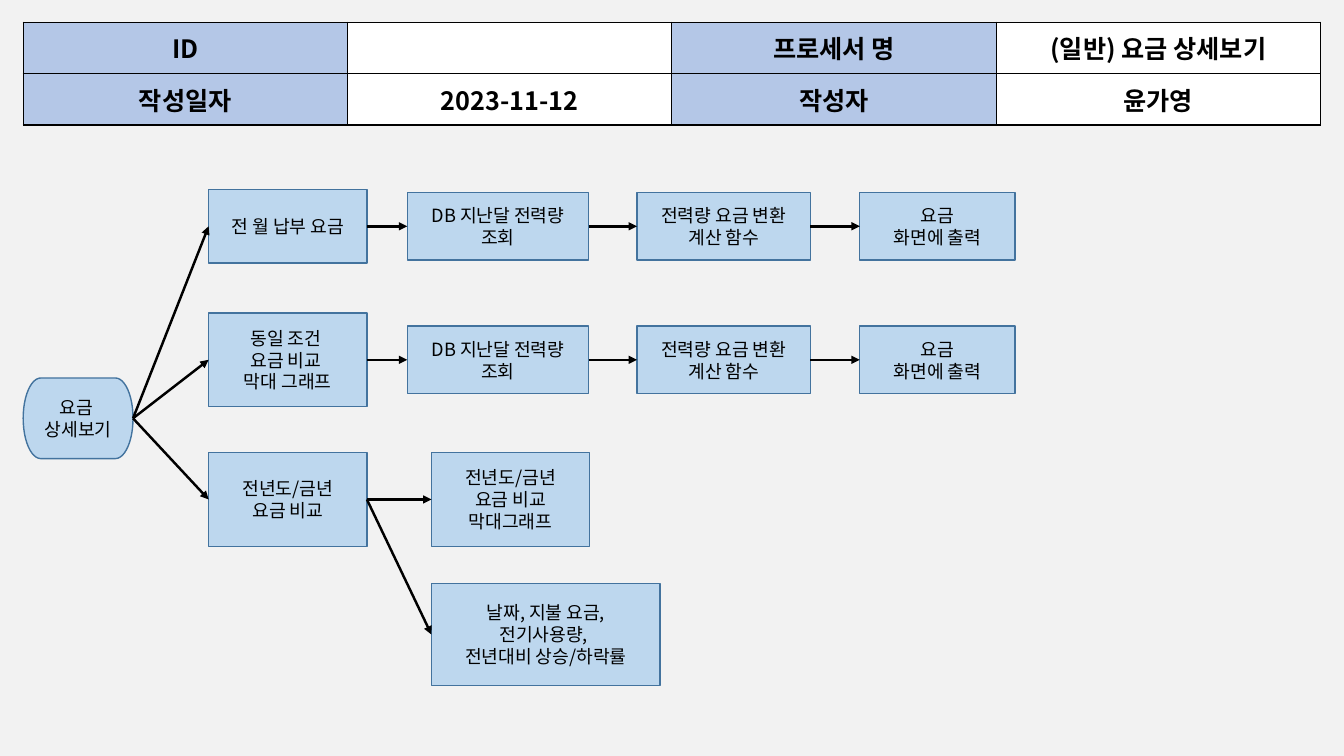
import pptx
import pptx.util
import pptx.dml.color
import pptx.enum.shapes
import pptx.enum.text
import pptx.oxml
import pptx.oxml.ns

RGB = pptx.dml.color.RGBColor
GRAY = RGB(0xF2, 0xF2, 0xF2)
WHITE = RGB(0xFF, 0xFF, 0xFF)
BLACK = RGB(0, 0, 0)
HEAD = RGB(0xB4, 0xC7, 0xE7)
PALE = RGB(0xBD, 0xD7, 0xEE)
EDGE = RGB(0x43, 0x73, 0x9E)

FONT = "Noto Sans CJK KR"
SHAPE = pptx.enum.shapes.MSO_SHAPE
MIDDLE = pptx.enum.text.MSO_ANCHOR.MIDDLE
CENTER = pptx.enum.text.PP_ALIGN.CENTER
RIGHT, LEFT = 3, 1

# The grid has ten cells to the inch; boxes are left, top, width, height.
WIDE, HIGH = 133.33, 75
TABLE = (2.3, 2.2, 128.7, 10.2)
FLOW = (2.3, 18.8, 98.4, 49.2)

INFO = [
    ["ID", "", "프로세서 명", "(일반) 요금 상세보기"],
    ["작성일자", "2023-11-12", "작성자", "윤가영"],
]

# Columns of the flow: left edge and width
START = (0, 10.9)
MENU = (18.4, 15.7)
STEPS = [(38.1, 18), (60.9, 17.2), (83, 15.4)]
VIEW = (40.5, 15.7)
LIST = (40.5, 22.7)

# Rows of the flow: middle lines
TOP, MID, LOW, LAST = 3.65, 16.9, 30.75, 44.15
HUB = 22.7

# Each paragraph is a list of lines
STEP_TEXT = [
    [["DB 지난달 전력량 조회"]],
    [["전력량 요금 변환"], ["계산 함수"]],
    [["요금"], ["화면에 출력"]],
]


def cells(num):
    return pptx.util.Inches(num / 10)


def add_run(para, text, size, bold=False):
    run = para.add_run()
    run.text = text
    font = run.font
    font.name, font.size, font.bold = FONT, pptx.util.Pt(size), bold
    font.color.rgb = BLACK
    east = run.font._element.makeelement(pptx.oxml.ns.qn("a:ea"), {"typeface": FONT})
    font._element.append(east)


def set_text(frame, paras, size, bold=False):
    for i, lines in enumerate(paras):
        para = frame.add_paragraph() if i else frame.paragraphs[0]
        para.alignment = CENTER
        for j, line in enumerate(lines):
            if j:
                para.add_line_break()
            add_run(para, line, size, bold)


def add_edges(cell):
    for side in "LRTB":
        cell._tc.get_or_add_tcPr().append(pptx.oxml.parse_xml(
            f'<a:ln{side} {pptx.oxml.ns.nsdecls("a")} w="12700">'
            f'<a:solidFill><a:srgbClr val="{BLACK}"/></a:solidFill></a:ln{side}>'))


def draw_table(slide, box):
    frame = slide.shapes.add_table(len(INFO), len(INFO[0]), *map(cells, box))
    table = frame.table
    table.first_row = table.horz_banding = False
    for r, row in enumerate(INFO):
        for c, text in enumerate(row):
            cell = table.cell(r, c)
            add_edges(cell)
            cell.fill.solid()
            cell.fill.fore_color.rgb = WHITE if c % 2 else HEAD
            cell.vertical_anchor = MIDDLE
            if text:
                set_text(cell.text_frame, [[text]], 18, True)


def draw_flow(slide, box):
    left, top = box[:2]

    def add_node(col, mid, high, paras, kind=SHAPE.RECTANGLE):
        x, wide = col
        node = slide.shapes.add_shape(
            kind, cells(left + x), cells(top + mid - high / 2), cells(wide), cells(high))
        node.shadow.inherit = False
        node.fill.solid()
        node.fill.fore_color.rgb = PALE
        node.line.color.rgb = EDGE
        node.line.width = pptx.util.Pt(1)
        node.text_frame.word_wrap = True
        node.text_frame.vertical_anchor = MIDDLE
        set_text(node.text_frame, paras, 13)
        return node

    def link(src, dst):
        line = slide.shapes.add_connector(
            pptx.enum.shapes.MSO_CONNECTOR.STRAIGHT, 0, 0, 0, 0)
        line.begin_connect(src, RIGHT)
        line.end_connect(dst, LEFT)
        line.line.color.rgb = BLACK
        line.line.width = pptx.util.Pt(1.75)
        for tag, parent in (("tailEnd", line.line._get_or_add_ln()),
                            ("effectLst", line._element.spPr)):
            kind = ' type="triangle"' if tag == "tailEnd" else ""
            parent.append(pptx.oxml.parse_xml(
                f'<a:{tag} {pptx.oxml.ns.nsdecls("a")}{kind}/>'))

    # Start and its three branches
    hub = add_node(START, HUB, 8, [["요금 "], ["상세보기"]],
                   SHAPE.FLOWCHART_TERMINATOR)
    past = add_node(MENU, TOP, 7.3, [["전 월 납부 요금"]])
    same = add_node(MENU, MID, 9.3, [["동일 조건 ", "요금 비교 ", "막대 그래프"]])
    year = add_node(MENU, LOW, 9.3, [["전년도/금년"], ["요금 비교"]])
    for node in (past, same, year):
        link(hub, node)

    # Chains of three steps
    for node, mid in ((past, TOP), (same, MID)):
        for col, paras in zip(STEPS, STEP_TEXT):
            step = add_node(col, mid, 6.7, paras)
            link(node, step)
            node = step

    # Views of the yearly branch
    link(year, add_node(VIEW, LOW, 9.3,
                        [["전년도/금년"], ["요금 비교"], ["막대그래프"]]))
    link(year, add_node(LIST, LAST, 10.1,
                        [["날짜, 지불 요금,"], ["전기사용량, "], ["전년대비 상승/하락률"]]))


def main():
    deck = pptx.Presentation()
    deck.slide_width, deck.slide_height = cells(WIDE), cells(HIGH)
    slide = deck.slides.add_slide(deck.slide_layouts[6])
    slide.background.fill.solid()
    slide.background.fill.fore_color.rgb = GRAY
    draw_table(slide, TABLE)
    draw_flow(slide, FLOW)
    deck.save("out.pptx")


if __name__ == "__main__":
    main()
